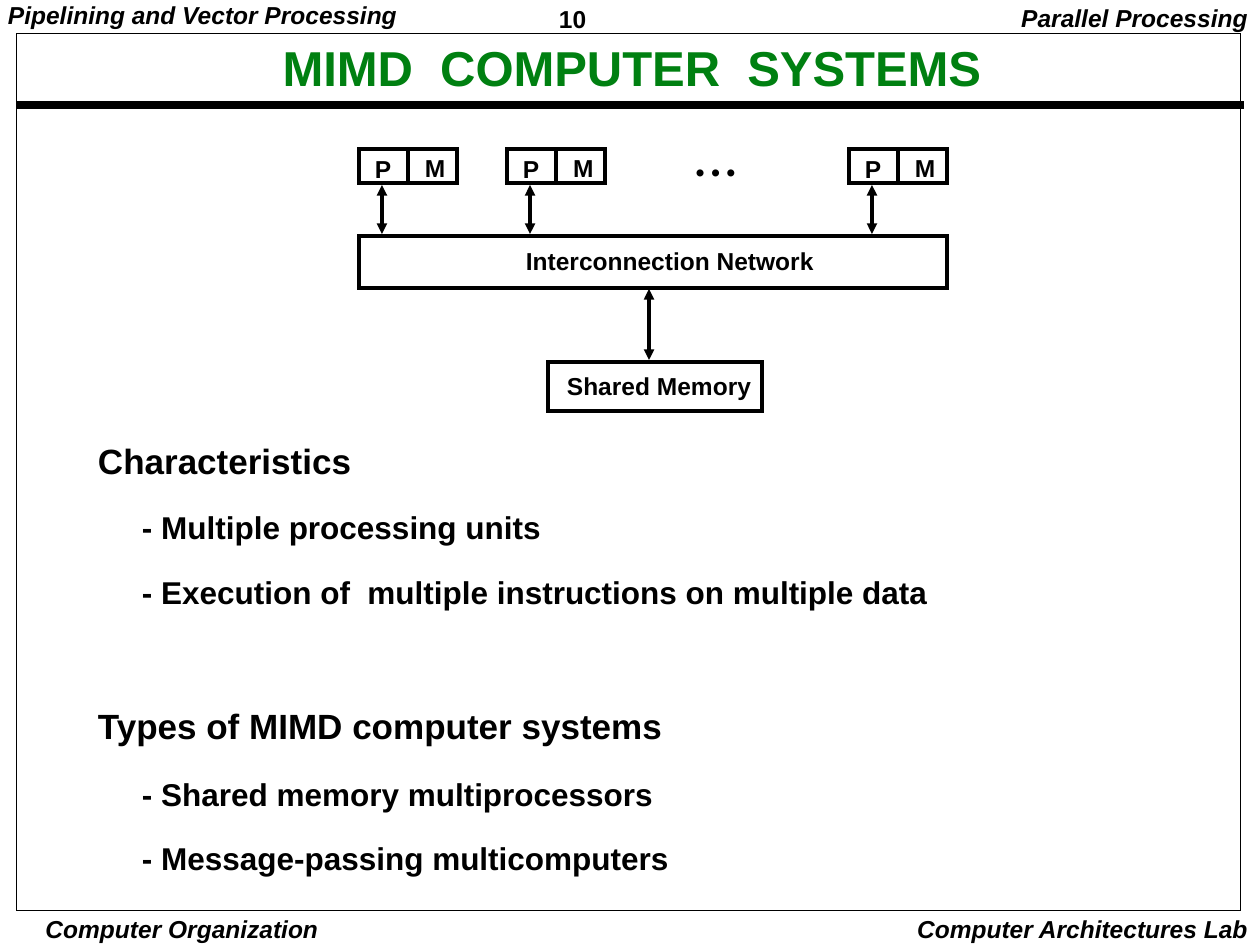
import pptx
import pptx.util
import pptx.dml.color
import pptx.oxml.ns
import lxml.etree
from pptx.enum.shapes import MSO_CONNECTOR, MSO_SHAPE
from pptx.enum.text import MSO_ANCHOR, PP_ALIGN

SCALE = 914400 / 126
BLACK = "000000"
GREEN = "008011"
qn = pptx.oxml.ns.qn


def px(n):
    return pptx.util.Emu(round(n * SCALE))


def color(code):
    return pptx.dml.color.RGBColor.from_string(code)


def style(para, size=14, code=BLACK, italic=False, space=0.9):
    font = para.font
    font.name, font.size = "Arial", pptx.util.Pt(size)
    font.bold, font.italic = True, italic
    font.color.rgb = color(code)
    para.line_spacing = space


def frame(slide, x, y, w, h, wrap=False, inset=(9, 4)):
    shape = slide.shapes.add_textbox(px(x), px(y), px(w), px(h))
    text = shape.text_frame
    text.word_wrap = wrap
    text.margin_left = text.margin_right = px(inset[0])
    text.margin_top = text.margin_bottom = px(inset[1])
    return text


def label(slide, words, x, y, w, h=34, align=PP_ALIGN.LEFT, inset=(9, 4), **look):
    text = frame(slide, x, y, w, h, inset=inset)
    para = text.paragraphs[0]
    para.text, para.alignment = words, align
    style(para, **look)
    return text


def box(slide, x, y, w, h, width=2):
    shape = slide.shapes.add_shape(MSO_SHAPE.RECTANGLE, px(x), px(y), px(w), px(h))
    shape.shadow.inherit = False
    shape.fill.background()
    shape.line.color.rgb = color(BLACK)
    shape.line.width = pptx.util.Pt(width)
    lxml.etree.SubElement(shape.line._get_or_add_ln(), qn("a:miter"), lim="800000")


def line(slide, x1, y1, x2, y2, width=2, arrow=False):
    link = slide.shapes.add_connector(
        MSO_CONNECTOR.STRAIGHT, px(x1), px(y1), px(x2), px(y2))
    link.line.color.rgb = color(BLACK)
    link.line.width = pptx.util.Pt(width)
    if arrow:
        for end in ("a:headEnd", "a:tailEnd"):
            lxml.etree.SubElement(link.line._get_or_add_ln(), qn(end), type="triangle")
    lxml.etree.SubElement(link._element.spPr, qn("a:effectLst"))


def border(slide, x, y, w, h):
    """Page frame, title and the running labels in its corners."""
    right = x + w + 20
    label(slide, "10", x + 534, 0, 136, 37, space=1.01)
    label(slide, "Pipelining and Vector Processing", x - 17, -1, 430, italic=True)
    label(slide, "Parallel Processing", right - 280, 0, 280, 39,
          PP_ALIGN.RIGHT, (13, 6), italic=True)
    label(slide, "Computer Organization", x + 6, y + h + 2, 320, 33,
          PP_ALIGN.CENTER, (4, 1), italic=True, space=1.0)
    label(slide, "Computer Architectures Lab", right - 380, y + h - 3, 380, 42,
          PP_ALIGN.RIGHT, (13, 6), italic=True, space=1.0)
    line(slide, x, y + 72, x + w + 3, y + 72, 4.5)
    box(slide, x, y, w, h, 0.5)
    title = label(slide, "MIMD  COMPUTER  SYSTEMS", x + 92, y + 3, 1048, 69,
                  PP_ALIGN.CENTER, size=28, code=GREEN)
    title.vertical_anchor = MSO_ANCHOR.MIDDLE


def node(slide, x, y, w, h):
    """One processor with its memory, linked to the network below."""
    box(slide, x, y, w, h)
    line(slide, x + w / 2, y - 1, x + w / 2, y + h + 2)
    label(slide, "P", x + 7, y + 4, 40)
    label(slide, "M", x + 57, y + 3, 44)
    line(slide, x + 23, y + h + 2, x + 23, y + h + 51, arrow=True)


def diagram(slide, x, y, w, h):
    """Processors, network and shared memory."""
    for left in (0, 148, w - 98):
        node(slide, x + left, y, 98, 34)
    label(slide, "• • •", x + 328, y + 7, 90)

    box(slide, x, y + 87, w, 52)
    label(slide, "Interconnection Network", x + 158, y + 96, 340)

    mid = x + 290
    line(slide, mid, y + 140, mid, y + h - 51, arrow=True)
    box(slide, x + 189, y + h - 49, 214, 49)
    label(slide, "Shared Memory", x + 199, y + h - 41, 240)


def notes(slide, x, y, w, h):
    """Headings with their indented points; each has a gap above in points."""
    rows = [
        ("Characteristics", 20, 0),
        ("- Multiple processing units", 18, 18.5),
        ("- Execution of  multiple instructions on multiple data", 18, 18.5),
        ("Types of MIMD computer systems", 20, 57),
        ("- Shared memory multiprocessors", 18, 20),
        ("- Message-passing multicomputers", 18, 18),
    ]
    text = frame(slide, x, y, w, h, wrap=True)
    for i, (words, size, gap) in enumerate(rows):
        para = text.add_paragraph() if i else text.paragraphs[0]
        para.text = words
        style(para, size, space=0.85)
        para.space_before = pptx.util.Pt(gap)
        if size == 18:
            para._p.get_or_add_pPr().set("marL", str(px(44)))


def main():
    deck = pptx.Presentation()
    deck.slide_width, deck.slide_height = px(1260), px(945)
    slide = deck.slides.add_slide(deck.slide_layouts[6])
    border(slide, 16, 33, 1225, 878)
    diagram(slide, 359, 149, 588, 262)
    notes(slide, 89, 442, 900, 438)
    deck.save("out.pptx")


if __name__ == "__main__":
    main()
